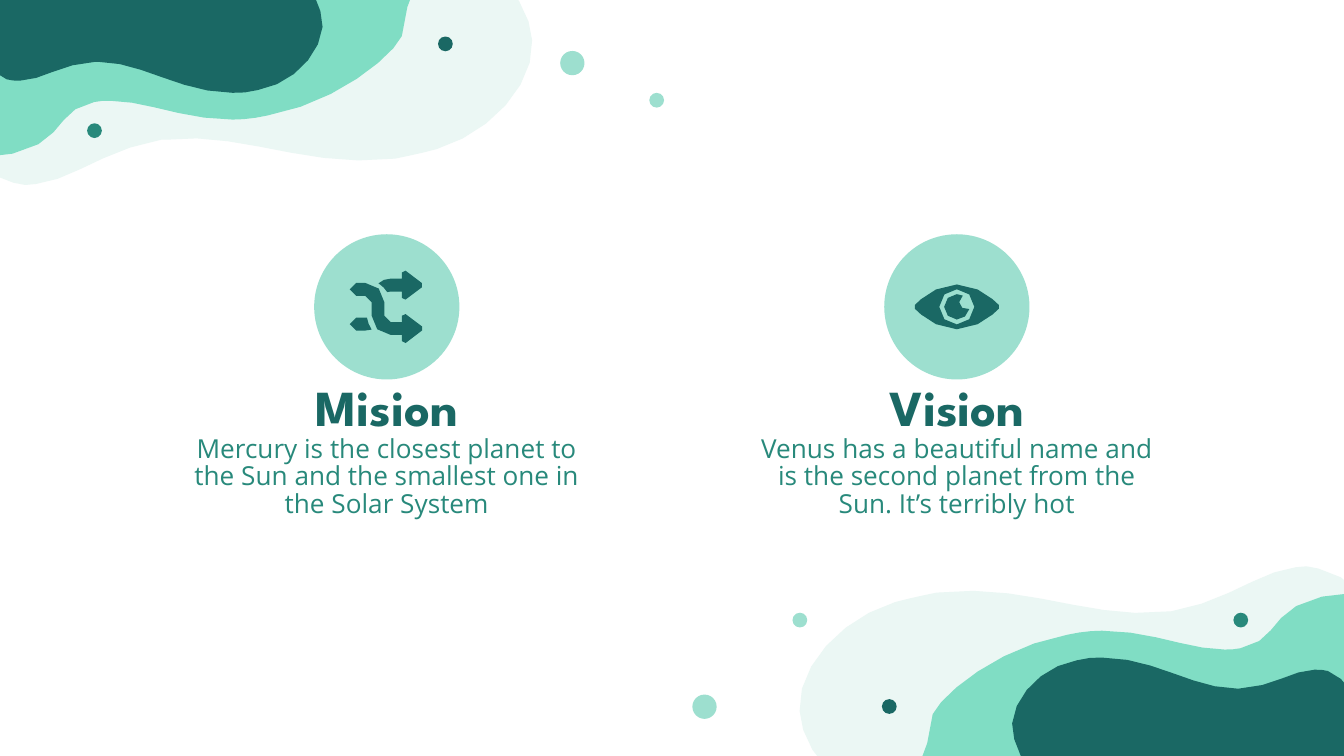
"""Build the mission and vision slide with wavy corner decorations."""
import math
from dataclasses import dataclass
from typing import Any, Optional

import pptx
import pptx.dml.color
import pptx.enum.shapes
import pptx.enum.text
import pptx.util

Pt = pptx.util.Pt
Point = tuple[float, float]

HUES = {
    "pale": "EBF7F4",
    "mint": "80DDC4",
    "soft": "9DDFCF",
    "teal": "28897B",
    "deep": "1A6864",
}
INSET = 7.2


@dataclass
class Blob:
    """A corner wave and the coordinate sums that turn it half around."""
    hue: str
    route: str
    turn: Point


@dataclass
class Dot:
    """A circle given by its centre and diameter."""
    x: float
    y: float
    size: float
    hue: str


@dataclass
class Topic:
    """An icon column with a heading and a sentence."""
    mid: float
    title: str
    body: str
    icon: list[str]


BLOBS = [
    Blob("pale", "M 211.7 85 C 218.9 83.5 226.1 82.1 234 79.9 "
         "C 262.8 71.3 286.6 45.4 285.1 21.6 C 284.4 5.8 271.4 -16.6 244.1 -25.2 "
         "L 198.7 -23.8 C 126.7 -3.6 54 18.7 -20.9 27.4 L -41.8 29.5 "
         "L -28.1 65.5 C -22.3 77 -10.1 95 7.2 97.9 "
         "C 11.5 99.4 15.8 99.4 19.4 98.6 C 38.9 96.5 56.2 79.9 86.4 74.9 "
         "L 88.6 74.9 C 128.2 69.8 164.2 90.7 211.7 85", (713.5, 402.5)),
    Blob("mint", "M 102.2 -13 L 221 -3.6 "
         "C 217.4 2.2 216.7 14.4 215.3 19.4 C 210.2 30.2 180 55.4 143.3 61.9 "
         "C 136.8 63.4 130.3 64.1 124.6 64.1 C 97.9 64.1 78.5 54 59 54 "
         "C 56.2 54 53.3 54 50.4 54.7 C 24.5 59.8 40.3 82.8 -15.8 85 "
         "L -12.2 -6.5", (715, 402)),
    Blob("deep", "M 124.6 49.7 C 128.9 49.7 133.2 49.7 138.2 48.2 "
         "C 155.5 45.4 171.4 30.2 172.8 14.4 C 172.8 4.3 167 -11.5 151.9 -19.4 "
         "L 136.1 -23 L 125.3 -22.3 L -7.9 -6.5 L -20.2 -6.5 L -15.1 18 "
         "C -13 25.9 -6.5 38.9 3.6 42.5 C 5.8 43.2 7.9 43.2 10.8 43.2 "
         "C 22.3 43.2 33.1 33.8 51.1 33.1 L 52.6 33.1 "
         "C 76.3 33.1 96.5 49.7 124.6 49.7", (715, 402)),
]
DOTS = [
    Dot(306.6, 33.8, 13, "soft"), Dot(50.6, 70, 7.9, "teal"),
    Dot(351.8, 53.7, 7.9, "soft"), Dot(238.6, 23.5, 7.9, "deep"),
    Dot(377.4, 378.6, 13, "soft"), Dot(664.7, 332.2, 7.9, "teal"),
    Dot(428.5, 332.2, 7.9, "soft"), Dot(476.4, 378.5, 7.9, "deep"),
]
SHUFFLE = [
    "M -16.4 -12.8 C -21 -12.8 -21 -5.9 -16.4 -5.9 L -11.5 -5.9 "
    "C -9.7 -5.9 -8.1 -4.4 -8.1 -2.5 L -8.1 4.7 C -8.1 10.4 -3.5 15.1 2.2 15.1 "
    "L 8.1 15.1 L 8.1 18.4 C 8.1 19.4 9.2 20 10.1 19.4 L 18.9 12.7 "
    "C 19.8 12.2 19.8 11.1 18.9 10.5 L 10.1 3.9 C 9.2 3.3 8.1 3.8 8.1 4.8 "
    "L 8.1 8.2 L 2.2 8.2 C 0.3 8.2 -1.3 6.6 -1.3 4.7 L -1.3 -2.5 "
    "C -1.3 -8.2 -5.9 -12.8 -11.5 -12.8",
    "M -10.6 5.8 L -16.4 5.8 C -21 5.8 -21 12.7 -16.4 12.7 L -11.5 12.7 "
    "L -8.1 12.2 C -9.4 10.3 -10.2 8.1 -10.6 5.8",
    "M 8.1 -18.4 L 8.1 -15.1 L 2.2 -15.1 C -0.5 -15.1 -2.6 -14.2 -4.4 -12.6 "
    "C -2.3 -11.3 -0.8 -9.6 0.3 -7.9 L 2.2 -8.2 L 8.1 -8.2 "
    "L 8.1 -4.8 C 8.1 -3.8 9.2 -3.3 10.1 -3.9 L 18.9 -10.5 "
    "C 19.8 -11.1 19.8 -12.2 18.9 -12.7 L 10.1 -19.4 C 9.2 -20 8.1 -19.4 8.1 -18.4",
]
EYE = [
    "M 0 -12 C -12.2 -12 -22 -1.6 -22.5 -1 C -23 -0.4 -23 0.4 -22.5 1 "
    "C -22 1.6 -12.2 12 0 12 C 12.2 12 22 1.6 22.5 1 C 23 0.4 23 -0.4 22.5 -1 "
    "C 22 -1.6 12.2 -12 0 -12 M 0 -9.4 C 5.2 -9.4 9.4 -5.2 9.4 0 "
    "C 9.4 5.2 5.2 9.4 0 9.4 C -5.2 9.4 -9.4 5.2 -9.4 0 C -9.4 -5.2 -5.2 -9.4 0 -9.4",
    "M 0 -6.8 C -3.7 -6.8 -6.8 -3.7 -6.8 0 C -6.8 3.7 -3.7 6.8 0 6.8 "
    "C 3.2 6.8 6.2 4.4 6.7 1.2 C 3.8 1.9 1.3 0 1.3 -2.5 C 1.3 -4.2 2.1 -5.4 3.2 -6 "
    "C 2.2 -6.6 1.1 -6.8 0 -6.8",
]
TOPICS = [
    Topic(207.2, "Mision", "Mercury is the closest planet to the Sun and the "
          "smallest one in the Solar System", SHUFFLE),
    Topic(512.6, "Vision", "Venus has a beautiful name and is the second planet "
          "from the Sun. It’s terribly hot", EYE),
]


def tint(name: str) -> pptx.dml.color.RGBColor:
    """Return a named colour."""
    return pptx.dml.color.RGBColor.from_string(HUES[name])


def paint(shape: Any, hue: str) -> None:
    """Fill a shape flat, with no line or shadow."""
    shape.shadow.inherit = False
    shape.fill.solid()
    shape.fill.fore_color.rgb = tint(hue)
    shape.line.fill.background()


def bend(ends: list[Point]) -> list[Point]:
    """Sample a cubic curve after its start point, more finely when it is long."""
    count = max(1, round(0.65 * math.sqrt(math.dist(ends[0], ends[3]))))
    out = []
    for step in range(1, count + 1):
        t = step / count
        u = 1 - t
        parts = (u ** 3, 3 * u * u * t, 3 * u * t * t, t ** 3)
        out.append((sum(w * p[0] for w, p in zip(parts, ends)),
                    sum(w * p[1] for w, p in zip(parts, ends))))
    return out


def trace(route: str) -> list[list[Point]]:
    """Turn route text into closed outlines."""
    loops: list[list[Point]] = []
    for piece in route.replace("M", "|M").replace("L", "|L").replace("C", "|C").split("|")[1:]:
        nums = [float(word) for word in piece[1:].split()]
        spots = list(zip(nums[::2], nums[1::2]))
        if piece[0] == "M":
            loops.append(spots)
        elif piece[0] == "L":
            loops[-1].extend(spots)
        else:
            loops[-1].extend(bend([loops[-1][-1], *spots]))
    return loops


def wave(slide: Any, route: str, hue: str, move: Point = (0, 0), sign: int = 1) -> None:
    """Draw a route as one shape, shifted and optionally turned."""
    loops = [[(Pt(move[0] + sign * x), Pt(move[1] + sign * y)) for x, y in loop]
             for loop in trace(route)]
    pen = slide.shapes.build_freeform(*loops[0][0])
    pen.add_line_segments(loops[0][1:], close=True)
    for loop in loops[1:]:
        pen.move_to(*loop[0])
        pen.add_line_segments(loop[1:], close=True)
    paint(pen.convert_to_shape(), hue)


def disc(slide: Any, dot: Dot) -> None:
    """Draw a circle."""
    half = dot.size / 2
    paint(slide.shapes.add_shape(
        pptx.enum.shapes.MSO_SHAPE.OVAL, Pt(dot.x - half), Pt(dot.y - half),
        Pt(dot.size), Pt(dot.size)), dot.hue)


def label(slide: Any, text: str, mid: float, top: float, high: float, face: str,
          size: float, hue: str, bold: bool = False, gap: Optional[float] = None) -> None:
    """Write a centred text box."""
    wide = 226.8
    frame = slide.shapes.add_textbox(
        Pt(mid - wide / 2), Pt(top), Pt(wide), Pt(high)).text_frame
    frame.word_wrap = True
    frame.margin_left = frame.margin_right = Pt(INSET)
    frame.margin_top = frame.margin_bottom = Pt(INSET)
    anchor = pptx.enum.text.MSO_ANCHOR
    frame.vertical_anchor = anchor.MIDDLE if bold else anchor.TOP
    frame.text = text
    para = frame.paragraphs[0]
    para.alignment = pptx.enum.text.PP_ALIGN.CENTER
    para.line_spacing = gap
    font = para.runs[0].font
    font.name, font.size, font.bold = face, Pt(size), bold
    font.color.rgb = tint(hue)


def main() -> None:
    """Build and save the slide."""
    deck = pptx.Presentation()
    deck.slide_width, deck.slide_height = Pt(720), Pt(405)
    slide = deck.slides.add_slide(deck.slide_layouts[6])
    for blob in BLOBS:
        wave(slide, blob.route, blob.hue)
        wave(slide, blob.route, blob.hue, blob.turn, -1)
    for dot in DOTS:
        disc(slide, dot)
    for topic in TOPICS:
        disc(slide, Dot(topic.mid, 164.4, 77.8, "soft"))
        for route in topic.icon:
            wave(slide, route, "deep", (topic.mid, 164.4))
        label(slide, topic.title, topic.mid, 203.8, 28.1, "League Spartan", 27, "deep", True)
        label(slide, topic.body, topic.mid, 226.8, 61.9, "Open Sans", 14, "teal", gap=0.87)
    deck.save("out.pptx")


if __name__ == "__main__":
    main()
